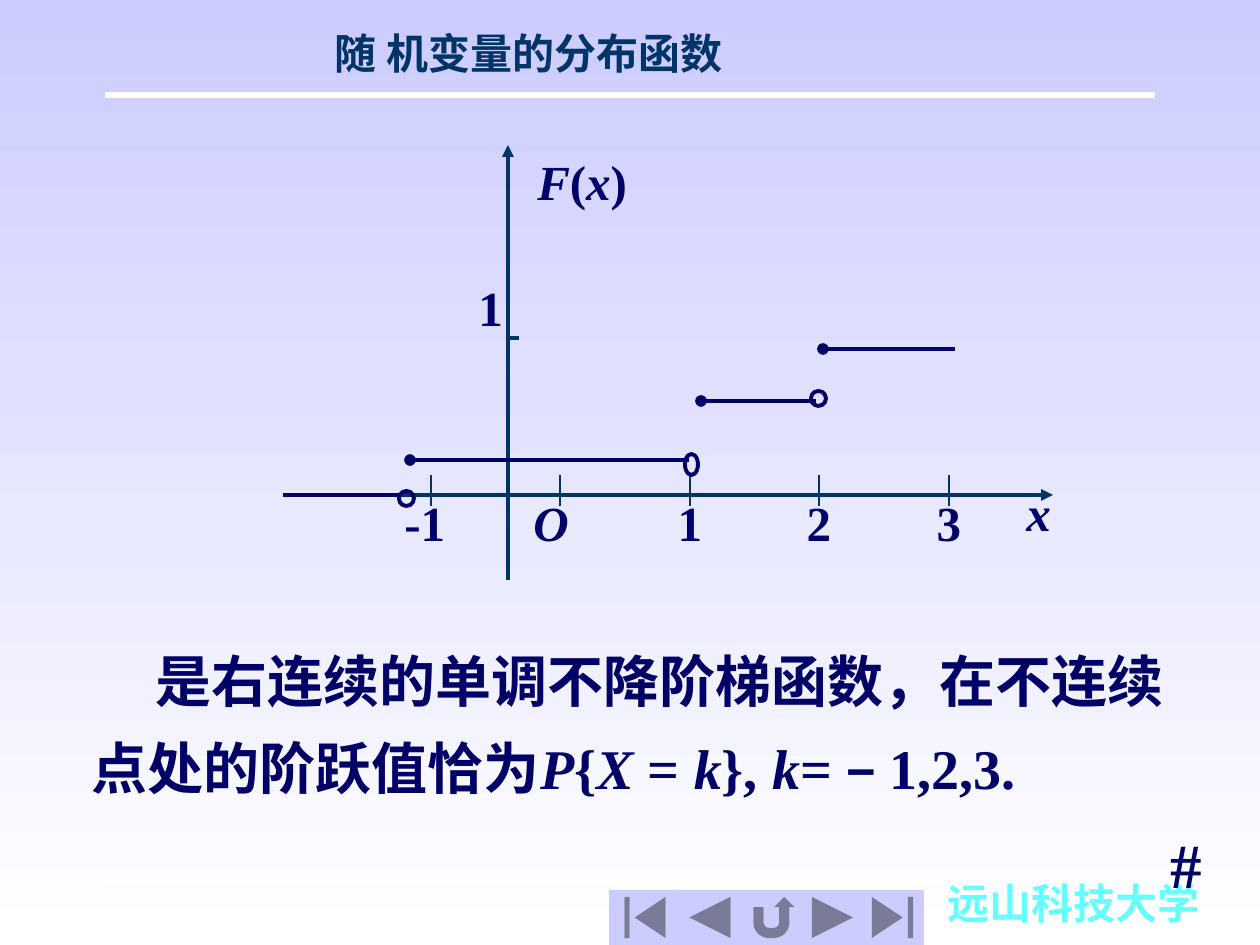
from pptx import Presentation
from pptx.dml.color import RGBColor
from pptx.enum.shapes import MSO_CONNECTOR, MSO_SHAPE
from pptx.enum.text import MSO_ANCHOR, MSO_AUTO_SIZE, PP_ALIGN
from pptx.oxml.ns import qn
from pptx.util import Pt
from lxml import etree

STRAIGHT = MSO_CONNECTOR.STRAIGHT
OVAL = MSO_SHAPE.OVAL
LEFT, CENTER = PP_ALIGN.LEFT, PP_ALIGN.CENTER
TOP = MSO_ANCHOR.TOP
GROW = MSO_AUTO_SIZE.SHAPE_TO_FIT_TEXT
NAVY = RGBColor(0x00, 0x00, 0x66)
TEAL = RGBColor(0x00, 0x33, 0x66)
CYAN = RGBColor(0x66, 0xFF, 0xFF)
LILAC = RGBColor(0xCC, 0xCC, 0xFF)
WHITE = RGBColor(0xFF, 0xFF, 0xFF)
SERIF = "Times New Roman"
BUTTONS = [
    (MSO_SHAPE.ACTION_BUTTON_BEGINNING, 0, 72),
    (MSO_SHAPE.ACTION_BUTTON_BACK_OR_PREVIOUS, 68, 66),
    (MSO_SHAPE.ACTION_BUTTON_RETURN, 134, 62),
    (MSO_SHAPE.ACTION_BUTTON_FORWARD_OR_NEXT, 195, 57),
    (MSO_SHAPE.ACTION_BUTTON_END, 252, 63),
]


def px(length):
    """Turn px into EMU, at 126 px to the inch."""
    return round(length * 914400 / 126)


def add_line(page, start, end, color, width, head=None, tail=None):
    """Draw a straight line with optional end marks."""
    line = page.shapes.add_connector(STRAIGHT, *map(px, start + end))
    line.line.color.rgb = color
    line.line.width = Pt(width)
    etree.SubElement(line._element.spPr, qn("a:effectLst"))
    outline = line.line._get_or_add_ln()
    for tag, mark in (("a:headEnd", head), ("a:tailEnd", tail)):
        if mark:
            etree.SubElement(outline, qn(tag)).set("type", mark)


def write_text(shape, box, spans, size, color=NAVY, align=LEFT, before=0, spacing=1.0, wrap=True):
    """Place a text shape and fill it with (text, italic) spans."""
    shape.left, shape.top, shape.width, shape.height = map(px, box)
    frame = shape.text_frame
    frame.word_wrap = wrap
    frame.auto_size = GROW
    frame.vertical_anchor = TOP
    para = frame.paragraphs[0]
    para.alignment = align
    para.space_before = Pt(before)
    para.line_spacing = spacing
    for text, italic in spans:
        span = para.add_run()
        span.text = text
        span.font.name = SERIF
        span.font.size = Pt(size)
        span.font.bold = True
        span.font.italic = italic
        span.font.color.rgb = color
    return para


def add_label(page, box, spans, size=28, **style):
    """Add a text box holding one formatted paragraph."""
    shape = page.shapes.add_textbox(*map(px, box))
    write_text(shape, box, spans, size, **style)


def add_header(page, box):
    """Write the title and the rule under it."""
    left, top, width, height = box
    title_box = (left + 147, top, 553, 63)
    write_text(page.shapes.title, title_box, [("随 机变量的分布函数", False)], 24, TEAL, CENTER)
    rule = top + height
    add_line(page, (left, rule), (left + width, rule), WHITE, 3)


def add_axes(page, box):
    """Draw both axes with their ticks and labels."""
    left, top, width, height = box
    axis_x, axis_y = left + 225, top + 350
    add_line(page, (left + 4, axis_y), (left + width, axis_y), TEAL, 2.25, tail="triangle")
    add_label(page, (left + 731, top + 331, 78, 72), [("x", True)], before=17.5)
    for index, name in enumerate(["-1", "O", "1", "2", "3"]):
        tick = left + 148 + 259 * index // 2
        add_line(page, (tick, axis_y - 20), (tick, axis_y + 11), TEAL, 0.75)
        label_box = (tick - 39, axis_y - 9, 91 if name == "-1" else 78, 72)
        align = LEFT if index < 2 else CENTER
        add_label(page, label_box, [(name, name == "O")], align=align, before=17.5)
    add_line(page, (axis_x, top + 193), (axis_x + 11, top + 193), TEAL, 2.25)
    add_line(page, (axis_x, top), (axis_x, top + height), TEAL, 2.25, head="triangle")
    function = [("F", True), ("(", False), ("x", True), (")", False)]
    add_label(page, (left + 242, top, 126, 72), function, before=17.5)
    add_label(page, (left + 183, top + 126, 53, 72), [("1", False)], before=17.5)


def add_steps(page, box):
    """Draw the steps, closed at the left and open at the right."""
    left, top = box[:2]
    steps = [
        (0, 116, 350, None, (116, 346, 15, 15)),
        (127, 406, 315, "oval", (402, 309, 13, 21)),
        (418, 533, 256, "oval", (528, 246, 15, 15)),
        (540, 672, 204, "oval", None),
    ]
    for start, end, level, head, ring in steps:
        add_line(page, (left + start, top + level), (left + end, top + level), NAVY, 2.25, head)
        if ring:
            x, y, width, height = ring
            circle = page.shapes.add_shape(OVAL, *map(px, (left + x, top + y, width, height)))
            circle.shadow.inherit = False
            circle.fill.background()
            circle.line.color.rgb = NAVY
            circle.line.width = Pt(2.25)


def add_statement(page, box):
    """Write the conclusion in the body placeholder."""
    spans = [
        ("是右连续的单调不降阶梯函数，在不连续点处的阶跃值恰为", False),
        ("P", True), ("{", False), ("X ", True), ("= ", False), ("k", True),
        ("}, ", False), ("k", True), ("= ", False), ("−", False), (" 1,2,3.", False),
    ]
    para = write_text(page.placeholders[1], box, spans, 32, before=20, spacing=1.3)
    minus = para.runs[-2].font
    minus.name = "Arial"
    minus.size = Pt(29)
    properties = para._p.get_or_add_pPr()
    properties.set("marL", "0")
    properties.set("indent", str(px(64)))
    etree.SubElement(properties, qn("a:buNone"))


def add_footer(page, box):
    """Draw the footer rule, school name and navigation buttons."""
    left, top, width, _ = box
    add_line(page, (left, top), (left + width, top), WHITE, 3)
    school_box = (left + 830, top + 3, 277, 48)
    add_label(page, school_box, [("远山科技大学", False)], 24, color=CYAN, spacing=0.7, wrap=False)
    add_label(page, (left + 1050, top - 63, 63, 88), [("#", False)], 36, align=CENTER, before=22.5)
    for kind, offset, button_width in BUTTONS:
        place = (left + 504 + offset, top + 8, button_width, 55)
        button = page.shapes.add_shape(kind, *map(px, place))
        button.shadow.inherit = False
        button.fill.solid()
        button.fill.fore_color.rgb = LILAC
        button.line.fill.background()


def main():
    """Build the slide and save the deck."""
    deck = Presentation()
    deck.slide_width, deck.slide_height = px(1260), px(945)
    page = deck.slides.add_slide(deck.slide_layouts[1])
    backdrop = page.background.fill
    backdrop.gradient()
    backdrop.gradient_angle = 270
    for stop, color in zip(backdrop.gradient_stops, (LILAC, WHITE)):
        stop.color.rgb = color
    graph = (283, 145, 770, 435)
    add_header(page, (105, 21, 1050, 74))
    add_axes(page, graph)
    add_steps(page, graph)
    add_statement(page, (79, 620, 1138, 188))
    add_footer(page, (105, 882, 1050, 63))
    deck.save("out.pptx")


if __name__ == "__main__":
    main()
